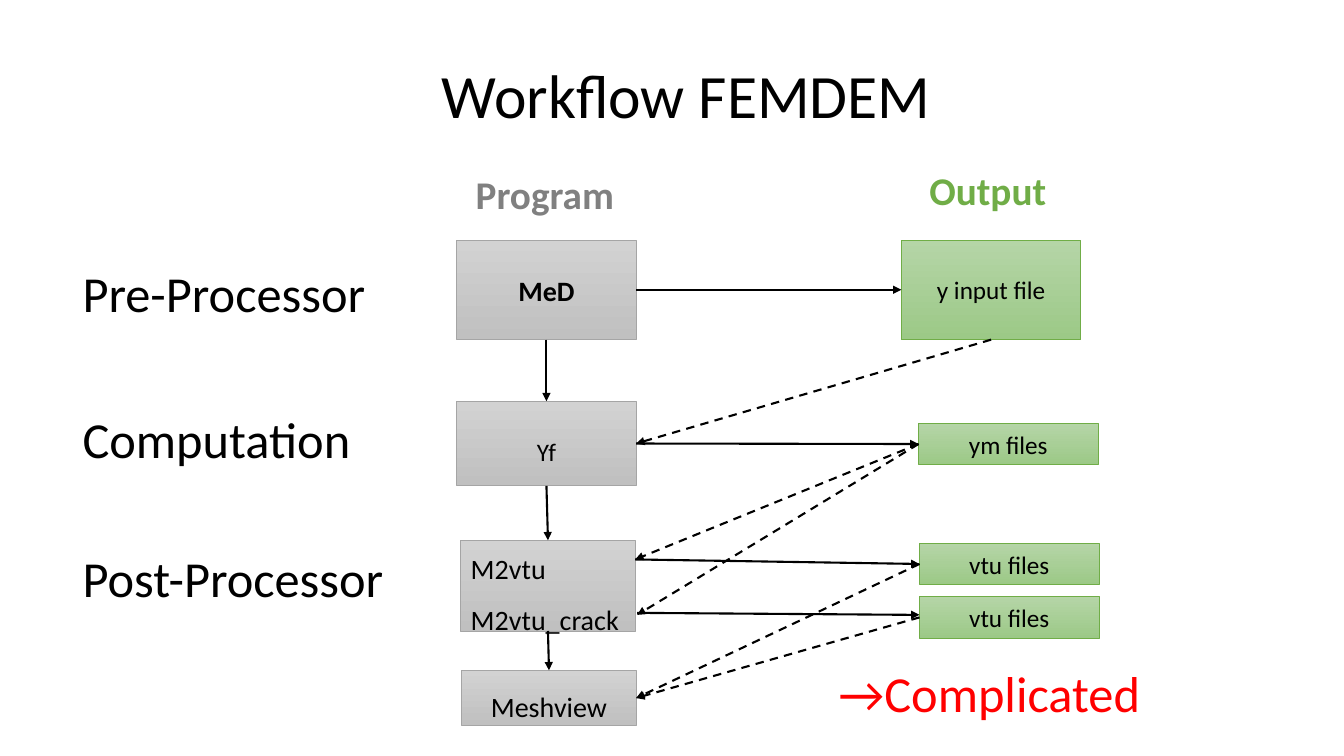
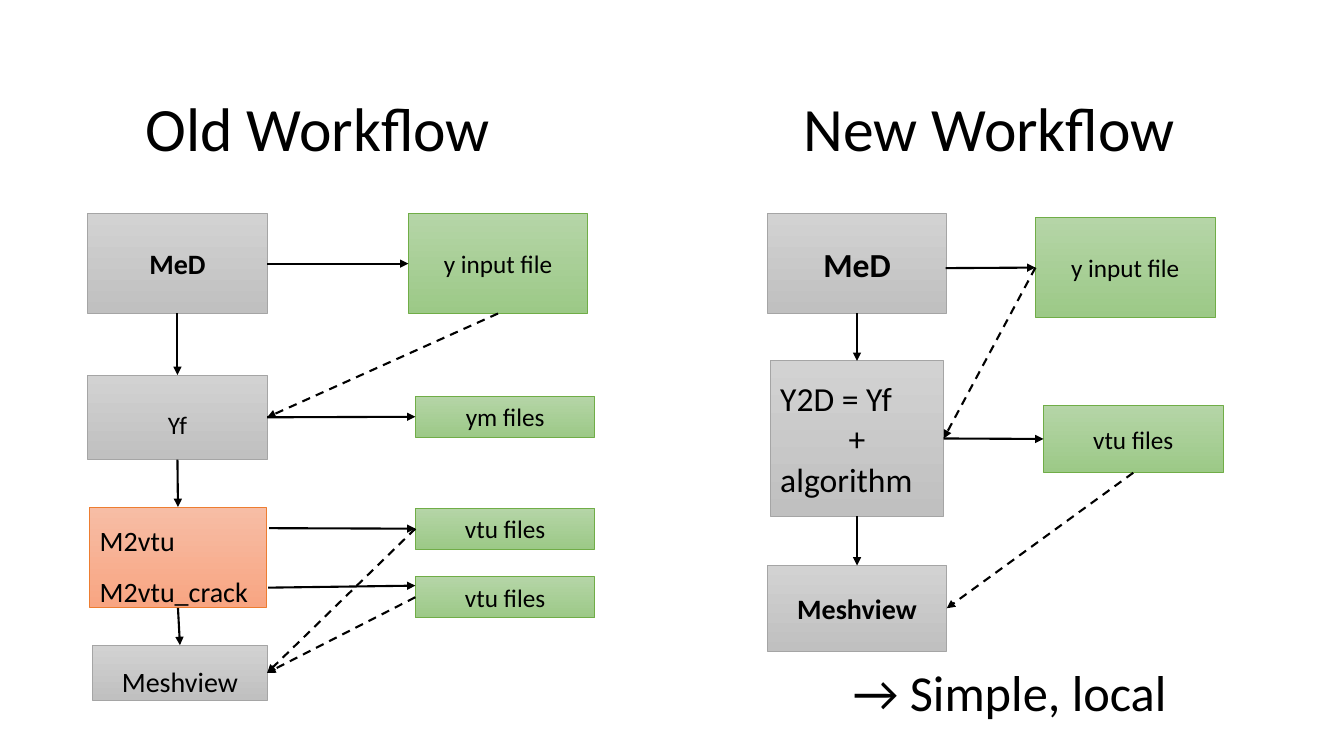
import pptx
import pptx.util
import pptx.dml.color
import pptx.enum.dml
import pptx.enum.shapes
import pptx.enum.text
import pptx.oxml
import pptx.oxml.ns

Inches = pptx.util.Inches
RGBColor = pptx.dml.color.RGBColor
ALIGN = pptx.enum.text.PP_ALIGN
ANCHOR = pptx.enum.text.MSO_ANCHOR
AUTO_SIZE = pptx.enum.text.MSO_AUTO_SIZE

BLACK = RGBColor(0x00, 0x00, 0x00)
WHITE = RGBColor(0xFF, 0xFF, 0xFF)
RED = RGBColor(0xFF, 0x00, 0x00)
HEADING_GRAY = RGBColor(0x80, 0x80, 0x80)
GREEN = RGBColor(0x70, 0xAD, 0x47)
PROGRAM = (RGBColor(0xD2, 0xD2, 0xD2), RGBColor(0xC0, 0xC0, 0xC0), RGBColor(0xA5, 0xA5, 0xA5))
OUTPUT = (RGBColor(0xB5, 0xD5, 0xA7), RGBColor(0x9C, 0xC9, 0x87), GREEN)
CONVERTER = (RGBColor(0xF7, 0xBD, 0xA5), RGBColor(0xF8, 0xA5, 0x82), RGBColor(0xED, 0x7D, 0x31))
TOP, LEFT, BOTTOM, RIGHT = range(4)
FONT = "Calibri"


def write(shape, text, size=18, color=BLACK, bold=False, aligns=(ALIGN.CENTER,),
          spacing=1.0, anchor=ANCHOR.MIDDLE, fit=AUTO_SIZE.NONE):
    frame = shape.text_frame
    frame.word_wrap = True
    frame.auto_size = fit
    frame.vertical_anchor = anchor
    frame.text = text
    for index, paragraph in enumerate(frame.paragraphs):
        paragraph.alignment = aligns[index % len(aligns)]
        paragraph.line_spacing = spacing
        font = paragraph.runs[0].font
        font.name = FONT
        font.size = pptx.util.Pt(size)
        font.bold = bold
        font.color.rgb = color


class Deck:
    def __init__(self):
        self.presentation = pptx.Presentation()
        self.presentation.slide_width = Inches(13.33)
        self.presentation.slide_height = Inches(7.5)
        self.slide = None

    def new_slide(self, title, area):
        self.slide = self.presentation.slides.add_slide(self.presentation.slide_layouts[5])
        heading = self.slide.shapes.title
        heading.left, heading.top, heading.width, heading.height = map(Inches, area)
        write(heading, title, size=44, spacing=0.9)

    def caption(self, text, area, **style):
        box = self.slide.shapes.add_textbox(*map(Inches, area))
        write(box, text, **style)

    def label(self, text, area, color=BLACK):
        panel = self.slide.shapes.add_shape(
            pptx.enum.shapes.MSO_SHAPE.RECTANGLE, *map(Inches, area))
        panel.shadow.inherit = False
        panel.fill.solid()
        panel.fill.fore_color.rgb = WHITE
        panel.line.fill.background()
        write(panel, text, size=36, color=color, aligns=(ALIGN.LEFT,),
              anchor=ANCHOR.TOP, fit=AUTO_SIZE.SHAPE_TO_FIT_TEXT)

    def box(self, text, area, palette=PROGRAM, **style):
        start, end, edge = palette
        shape = self.slide.shapes.add_shape(
            pptx.enum.shapes.MSO_SHAPE.RECTANGLE, *map(Inches, area))
        shape.shadow.inherit = False
        shape.fill.gradient()
        shape.fill.gradient_angle = 270
        for stop, color in zip(shape.fill.gradient_stops, (start, end)):
            stop.color.rgb = color
        shape.line.color.rgb = edge
        shape.line.width = pptx.util.Pt(0.5)
        write(shape, text, **style)
        return shape

    def arrow(self, source, target, dashed=False):
        line = self.slide.shapes.add_connector(
            pptx.enum.shapes.MSO_CONNECTOR.STRAIGHT, 0, 0, 0, 0)
        if isinstance(source[0], float):
            line.begin_x, line.begin_y = map(Inches, source)
        else:
            line.begin_connect(*source)
        if isinstance(target[0], float):
            line.end_x, line.end_y = map(Inches, target)
        else:
            line.end_connect(*target)
        line.line.color.rgb = BLACK
        line.line.width = pptx.util.Pt(1.5)
        if dashed:
            line.line.dash_style = pptx.enum.dml.MSO_LINE.DASH
        head = pptx.oxml.parse_xml(
            f'<a:tailEnd {pptx.oxml.ns.nsdecls("a")} type="triangle"/>')
        line.line._get_or_add_ln().append(head)
        line._element.spPr.append(pptx.oxml.parse_xml(
            f'<a:effectLst {pptx.oxml.ns.nsdecls("a")}/>'))


def old_workflow(deck, left, top, input_left, file_spots, converter_area,
                 viewer_area, exits, crack_entry, converter_palette=PROGRAM):
    mesher = deck.box("MeD", (left, top, 1.78, 0.99), size=20, bold=True)
    solver = deck.box("Yf", (left, top + 1.6, 1.78, 0.84), spacing=1.5)
    converter = deck.box("M2vtu\nM2vtu_crack", converter_area, converter_palette,
                         size=20, aligns=(ALIGN.LEFT,), spacing=1.5)
    viewer = deck.box("Meshview", viewer_area, size=20, spacing=1.5)
    input_file = deck.box("y input file", (input_left, top, 1.78, 0.99), OUTPUT)
    ym_files, vtu_files, crack_files = [
        deck.box(text, (*spot, 1.78, 0.41), OUTPUT)
        for text, spot in zip(("ym files", "vtu files", "vtu files"), file_spots)]

    programs = (mesher, solver, converter, viewer)
    for upper, lower in zip(programs, programs[1:]):
        deck.arrow((upper, BOTTOM), (lower, TOP))
    deck.arrow((mesher, RIGHT), (input_file, LEFT))
    deck.arrow((input_file, BOTTOM), (solver, RIGHT), dashed=True)
    deck.arrow((solver, RIGHT), (ym_files, LEFT))
    deck.arrow(exits[0], (vtu_files, LEFT))
    deck.arrow(exits[1], crack_entry)
    for files in (vtu_files, crack_files):
        deck.arrow((files, LEFT), (viewer, RIGHT), dashed=True)
    return ym_files


def femdem_slide(deck):
    deck.new_slide("Workflow FEMDEM", (0.41, 0.25, 12.8, 1.45))
    heading = dict(size=28, bold=True, aligns=(ALIGN.LEFT,), anchor=ANCHOR.TOP)
    deck.caption("Program", (4.62, 1.64, 1.58, 0.57), color=HEADING_GRAY, **heading)
    deck.caption("Output", (9.12, 1.6, 3.56, 0.57), color=GREEN, **heading)
    for stage, top in (("Pre-Processor", 2.55), ("Computation", 4), ("Post-Processor", 5.38)):
        deck.label(stage, (0.72, top, 3.21, 0.71))
    ym_files = old_workflow(
        deck, 4.53, 2.38, 8.94, ((9.11, 4.2), (9.12, 5.39), (9.12, 5.92)),
        (4.57, 5.36, 1.73, 0.9), (4.58, 6.65, 1.73, 0.55),
        ((6.3, 5.55), (6.32, 6.08)), (9.12, 6.1))
    for entry in ((6.3, 5.55), (6.32, 6.1)):
        deck.arrow((ym_files, LEFT), entry, dashed=True)
    deck.label("→Complicated", (8.22, 6.52, 3.21, 0.71), RED)


def comparison_slide(deck):
    deck.new_slide("New Workflow", (7.2, 0.58, 5.23, 1.45))
    deck.caption("Old Workflow", (0.54, 0.58, 5.23, 1.45), size=44, spacing=0.9)
    old_workflow(
        deck, 0.87, 2.12, 4.05, ((4.12, 3.93), (4.12, 5.04), (4.12, 5.72)),
        (0.89, 5.03, 1.75, 1), (0.92, 6.4, 1.73, 0.55),
        ((2.67, 5.24), (2.66, 5.83)), (4.12, 5.81), CONVERTER)

    mesher = deck.box("MeD", (7.61, 2.12, 1.78, 0.99), size=24, bold=True)
    solver = deck.box("Y2D = Yf\n+\nalgorithm", (7.64, 3.58, 1.72, 1.54), size=24,
                      aligns=(ALIGN.LEFT, ALIGN.CENTER, ALIGN.LEFT))
    viewer = deck.box("Meshview", (7.61, 5.61, 1.78, 0.85), size=20, bold=True)
    input_file = deck.box("y input file", (10.27, 2.16, 1.78, 0.99), OUTPUT)
    vtu_files = deck.box("vtu files", (10.35, 4.02, 1.78, 0.67), OUTPUT)
    deck.arrow((mesher, BOTTOM), (solver, TOP))
    deck.arrow((solver, BOTTOM), (viewer, TOP))
    deck.arrow((9.38, 2.66), (input_file, LEFT))
    deck.arrow((input_file, LEFT), (solver, RIGHT), dashed=True)
    deck.arrow((solver, RIGHT), (vtu_files, LEFT))
    deck.arrow((vtu_files, BOTTOM), (viewer, RIGHT), dashed=True)
    deck.label("→ Simple, local", (8.36, 6.51, 3.52, 0.71))


def main():
    deck = Deck()
    femdem_slide(deck)
    comparison_slide(deck)
    deck.presentation.save("out.pptx")


if __name__ == "__main__":
    main()
